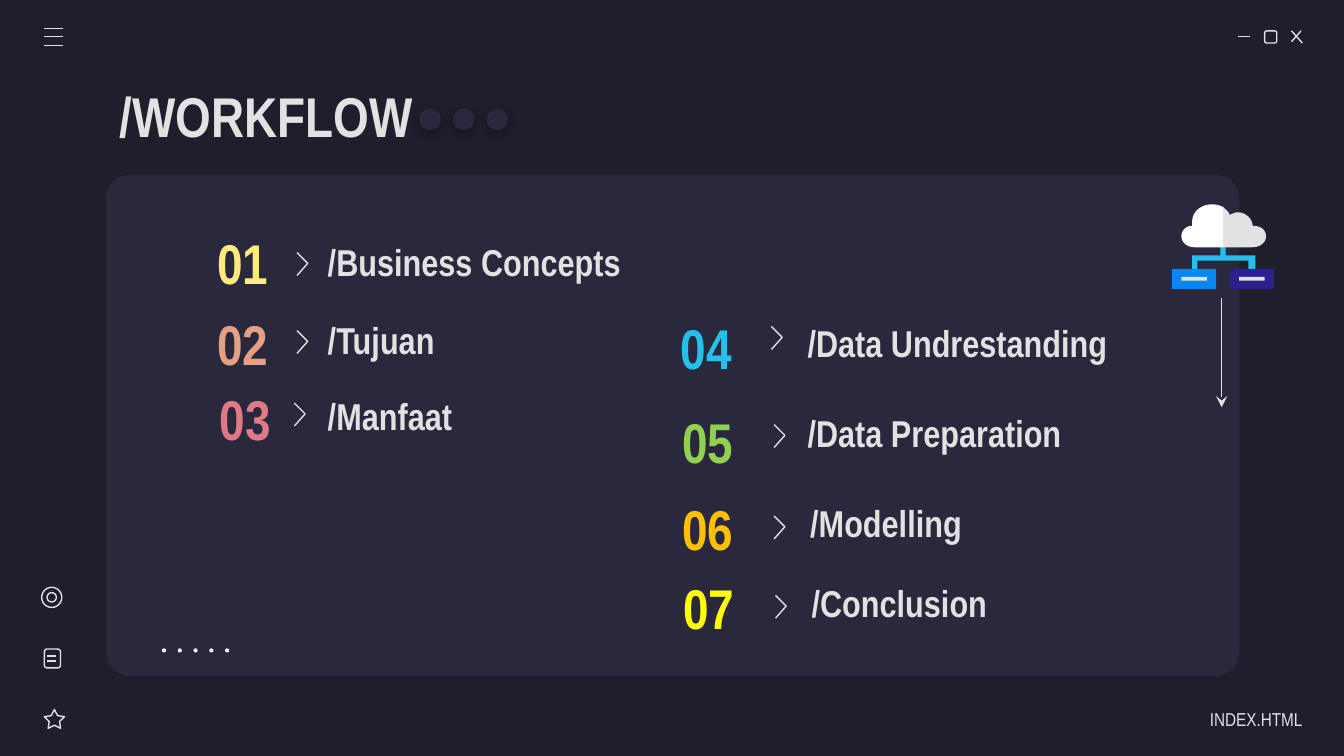
from lxml.etree import SubElement
from pptx import Presentation
from pptx.dml.color import RGBColor
from pptx.enum.shapes import MSO_CONNECTOR, MSO_SHAPE
from pptx.enum.text import MSO_ANCHOR, MSO_AUTO_SIZE, PP_ALIGN
from pptx.oxml.ns import qn
from pptx.util import Inches, Pt

THEME = {
    "font": "Arial Narrow", "background": "1E1E2C", "panel": "29283D",
    "light": "E2E2E2", "white": "FFFFFF", "cyan": "24BFEB",
    "blue": "0887F2", "indigo": "2B218D", "shadow": "000000",
    "large": 30, "medium": 20, "small": 10, "stroke": 0.75,
}

TITLE = "/WORKFLOW"
FOOTER = "INDEX.HTML"
STEPS = [
    ("01", "/Business Concepts", "FFEA7D", (1.35, 1.67), (2.21, 1.88), (2.34, 1.67)),
    ("02", "/Tujuan", "E5A083", (1.35, 2.27), (2.21, 2.46), (2.34, 2.25)),
    ("03", "/Manfaat", "E07A88", (1.37, 2.83), (2.19, 3.0), (2.34, 2.81)),
    ("04", "/Data Undrestanding", "24BFEB", (4.8, 2.3), (5.74, 2.43), (5.91, 2.27)),
    ("05", "/Data Preparation", "92D050", (4.81, 3.0), (5.76, 3.16), (5.91, 2.94)),
    ("06", "/Modelling", "FFC000", (4.81, 3.65), (5.76, 3.84), (5.93, 3.61)),
    ("07", "/Conclusion", "FFFF00", (4.82, 4.24), (5.77, 4.43), (5.94, 4.2)),
]
NUMBER_WIDTH, LABEL_WIDTH, STEP_HEIGHT = 0.91, 2.59, 0.56

MENU_LINES = [(0.33, y, 0.47, y) for y in (0.21, 0.27, 0.34)]
WINDOW_LINES = [(9.21, 0.27, 9.3, 0.27), (9.61, 0.23, 9.69, 0.32), (9.68, 0.23, 9.61, 0.31)]
NOTE_LINES = [(0.35, y, 0.42, y) for y in (4.88, 4.92)]
SIDE_ICONS = [
    (MSO_SHAPE.STAR_5_POINT, (0.33, 5.28, 0.15, 0.14), 0.254),
    (MSO_SHAPE.ROUNDED_RECTANGLE, (0.33, 4.83, 0.12, 0.14), 0.167),
    (MSO_SHAPE.OVAL, (0.31, 4.37, 0.15, 0.15), None),
    (MSO_SHAPE.OVAL, (0.35, 4.41, 0.07, 0.07), None),
]
CABLES = [
    (9.08, 1.81), (9.08, 1.9), (8.87, 1.9), (8.87, 2.02), (8.91, 2.02), (8.91, 1.94),
    (9.29, 1.94), (9.29, 2.02), (9.34, 2.02), (9.34, 1.9), (9.12, 1.9), (9.12, 1.81),
]
SERVERS = [(8.72, "blue"), (9.15, "indigo")]
CLOUD_RIGHT = [
    (9.1, 1.54), (9.07, 1.7), (9.1, 1.84), (9.32, 1.84),
    (9.38, 1.84, 9.42, 1.8, 9.42, 1.76), (9.42, 1.71, 9.38, 1.68, 9.32, 1.68),
    (9.32, 1.63, 9.27, 1.58, 9.21, 1.58), (9.19, 1.58, 9.17, 1.59, 9.15, 1.6),
    (9.14, 1.57, 9.12, 1.56, 9.1, 1.54),
]
CLOUD_LEFT = [
    (9.02, 1.52), (8.93, 1.52, 8.87, 1.58, 8.87, 1.65), (8.87, 1.65, 8.87, 1.67, 8.87, 1.68),
    (8.83, 1.68, 8.79, 1.71, 8.79, 1.76), (8.79, 1.8, 8.83, 1.84, 8.89, 1.84),
    (9.1, 1.84), (9.1, 1.54), (9.08, 1.53, 9.05, 1.52, 9.02, 1.52),
]


def color(name):
    return RGBColor.from_string(THEME.get(name, name))


def paint(shape, fill=None, line=None):
    shape.shadow.inherit = False
    if fill:
        shape.fill.solid()
        shape.fill.fore_color.rgb = color(fill)
    else:
        shape.fill.background()
    if line:
        shape.line.color.rgb = color(line)
        shape.line.width = Pt(THEME["stroke"])
    else:
        shape.line.fill.background()
    return shape


def add_preset(shapes, preset, box, fill=None, line=None, adjust=None):
    shape = shapes.add_shape(preset, *map(Inches, box))
    if adjust is not None:
        shape.adjustments[0] = adjust
    return paint(shape, fill, line)


def add_line(shapes, ends):
    line = shapes.add_connector(MSO_CONNECTOR.STRAIGHT, *map(Inches, ends))
    line.line.color.rgb = color("light")
    line.line.width = Pt(THEME["stroke"])
    SubElement(line._element.spPr, qn("a:effectLst"))
    return line


def flatten(segments, pieces=12):
    points = [segments[0]]
    for segment in segments[1:]:
        if len(segment) == 2:
            points.append(segment)
            continue
        controls = [points[-1], segment[:2], segment[2:4], segment[4:]]
        for i in range(1, pieces + 1):
            t = i / pieces
            weights = ((1 - t) ** 3, 3 * t * (1 - t) ** 2, 3 * t * t * (1 - t), t ** 3)
            points.append(tuple(sum(w * c[axis] for w, c in zip(weights, controls))
                                for axis in (0, 1)))
    return points


def add_outline(shapes, segments, fill=None, line=None):
    start, *rest = [tuple(map(Inches, point)) for point in flatten(segments)]
    builder = shapes.build_freeform(*start)
    builder.add_line_segments(rest, close=fill is not None)
    return paint(builder.convert_to_shape(), fill, line)


def write(holder, text, box, size, ink="light", align=PP_ALIGN.LEFT, bold=True, right=0.1):
    holder.left, holder.top, holder.width, holder.height = map(Inches, box)
    frame = holder.text_frame
    frame.text = text
    frame.word_wrap = True
    frame.auto_size = MSO_AUTO_SIZE.NONE
    frame.vertical_anchor = MSO_ANCHOR.MIDDLE
    frame.margin_left = frame.margin_top = frame.margin_bottom = Inches(0.1)
    frame.margin_right = Inches(right)
    frame.paragraphs[0].alignment = align
    font = frame.paragraphs[0].runs[0].font
    font.name, font.size, font.bold = THEME["font"], Pt(THEME[size]), bold
    font.color.rgb = color(ink)


def add_text(shapes, text, box, *style, **options):
    write(shapes.add_textbox(*map(Inches, box)), text, box, *style, **options)


def cast_shadow(shape):
    effects = shape._element.spPr.find(qn("a:effectLst"))
    shadow = SubElement(effects, qn("a:outerShdw"), blurRad=str(Pt(4.5)), dist=str(Pt(1.5)),
                        dir="5400000", algn="bl", rotWithShape="0")
    tint = SubElement(shadow, qn("a:srgbClr"), val=THEME["shadow"])
    SubElement(tint, qn("a:alpha"), val="30000")


def add_chrome(shapes):
    window = shapes.add_group_shape().shapes
    add_preset(window, MSO_SHAPE.ROUNDED_RECTANGLE, (9.41, 0.23, 0.09, 0.09), line="light")
    menu = shapes.add_group_shape().shapes
    side = shapes.add_group_shape().shapes
    for preset, box, adjust in SIDE_ICONS:
        add_preset(side, preset, box, line="light", adjust=adjust)
    for group, lines in ((window, WINDOW_LINES), (menu, MENU_LINES), (side, NOTE_LINES)):
        for ends in lines:
            add_line(group, ends)


def add_dots(shapes):
    title_dots = shapes.add_group_shape().shapes
    for i in range(3):
        cast_shadow(add_preset(title_dots, MSO_SHAPE.OVAL,
                               (3.12 + 0.25 * i, 0.81, 0.16, 0.16), fill="panel"))
    page_dots = shapes.add_group_shape().shapes
    for i in range(5):
        add_preset(page_dots, MSO_SHAPE.OVAL, (1.21 + 0.47 * i / 4, 4.83, 0.02, 0.02),
                   fill="white", line="white")


def add_cloud(shapes):
    cloud = shapes.add_group_shape().shapes
    add_outline(cloud, CABLES, fill="cyan")
    for left, fill in SERVERS:
        add_preset(cloud, MSO_SHAPE.RECTANGLE, (left, 2.0, 0.33, 0.15), fill=fill)
        add_preset(cloud, MSO_SHAPE.RECTANGLE, (left + 0.07, 2.06, 0.19, 0.03), fill="light")
    add_outline(cloud, CLOUD_RIGHT, fill="light")
    add_outline(cloud, CLOUD_LEFT, fill="white")
    arrow = add_line(shapes, (9.09, 2.22, 9.09, 3.03))
    SubElement(arrow.line._get_or_add_ln(), qn("a:tailEnd"), type="stealth")


def add_steps(shapes):
    for number, label, ink, number_at, chevron_at, label_at in STEPS:
        add_text(shapes, number, (*number_at, NUMBER_WIDTH, STEP_HEIGHT), "large", ink,
                 PP_ALIGN.CENTER)
        add_text(shapes, label, (*label_at, LABEL_WIDTH, STEP_HEIGHT), "medium")
        x, y = chevron_at
        add_outline(shapes, [(x, y), (x + 0.08, y + 0.08), (x, y + 0.17)], line="light")


def main():
    deck = Presentation()
    deck.slide_width = Inches(10)
    deck.slide_height = deck.slide_width * 9 // 16
    slide = deck.slides.add_slide(deck.slide_layouts[5])
    slide.background.fill.solid()
    slide.background.fill.fore_color.rgb = color("background")
    shapes = slide.shapes
    write(shapes.title, TITLE, (0.79, 0.54, 3.38, 0.63), "large")
    add_preset(shapes, MSO_SHAPE.ROUNDED_RECTANGLE, (0.79, 1.3, 8.43, 3.73), "panel", adjust=0.047)
    add_chrome(shapes)
    add_dots(shapes)
    add_steps(shapes)
    add_cloud(shapes)
    add_text(shapes, FOOTER, (8.52, 5.2, 1.17, 0.3), "small", align=PP_ALIGN.RIGHT,
             bold=False, right=0)
    deck.save("out.pptx")


if __name__ == "__main__":
    main()
